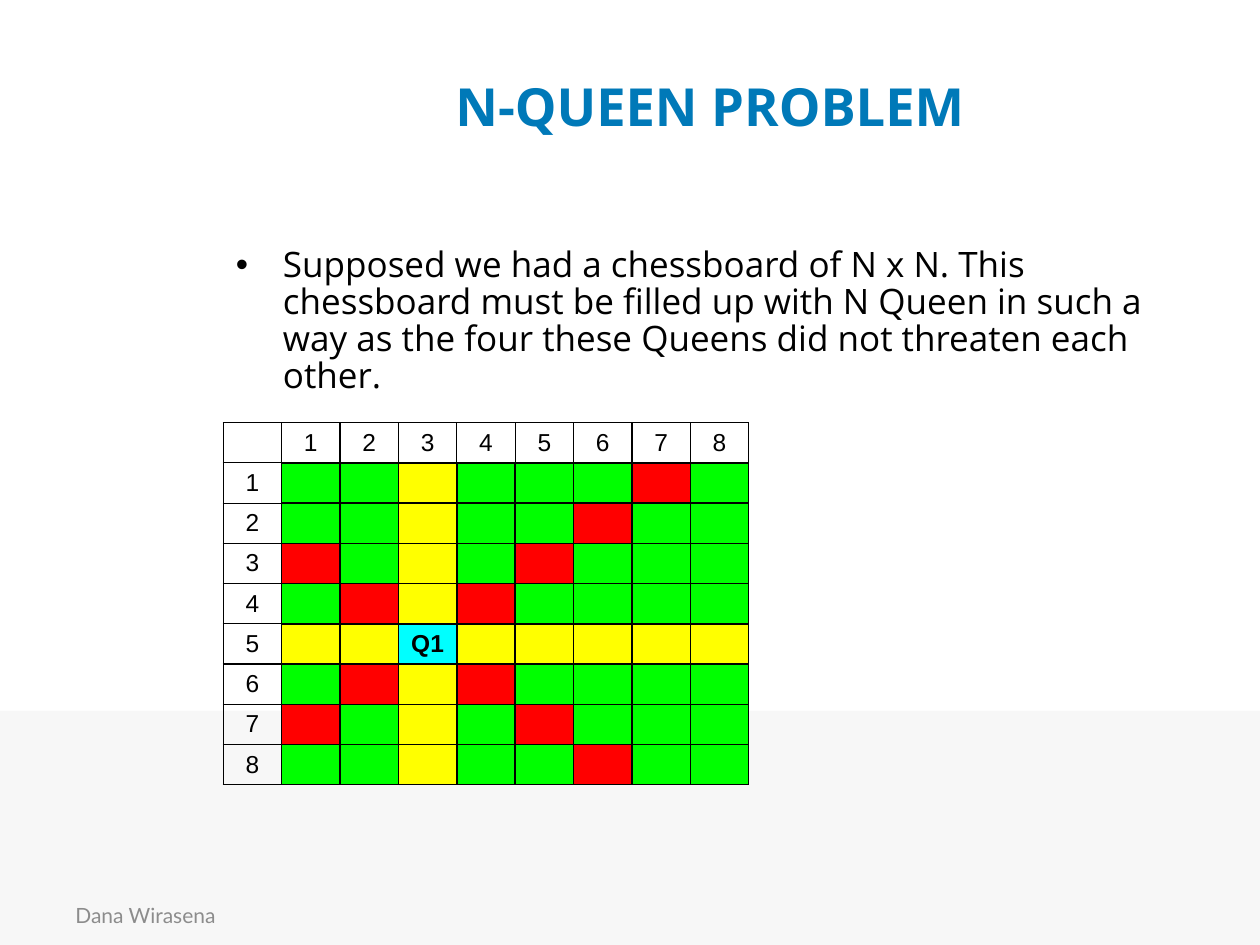
from lxml.etree import SubElement
from pptx import Presentation
from pptx.dml.color import RGBColor
from pptx.enum.shapes import MSO_SHAPE
from pptx.enum.text import MSO_ANCHOR, MSO_AUTO_SIZE, PP_ALIGN
from pptx.oxml.ns import qn
from pptx.util import Cm, Pt

BLACK = RGBColor(0x00, 0x00, 0x00)
BLUE = RGBColor(0x00, 0x79, 0xB8)
GREY = RGBColor(0x8C, 0x8C, 0x8C)
PALE = RGBColor(0xF7, 0xF7, 0xF7)
SAFE = RGBColor(0x00, 0xFF, 0x00)
STRAIGHT = RGBColor(0xFF, 0xFF, 0x00)
DIAGONAL = RGBColor(0xFF, 0x00, 0x00)
QUEEN = RGBColor(0x00, 0xFF, 0xFF)

BOARD_SIZE = 8
QUEEN_ROW, QUEEN_COLUMN = 5, 3


def square_color(row, column):
    """Colour of a square by the way the queen attacks it."""
    down, across = abs(row - QUEEN_ROW), abs(column - QUEEN_COLUMN)
    if down == across:
        return DIAGONAL if down else QUEEN
    return SAFE if down and across else STRAIGHT


class SlideBuilder:
    heading_font = "Open Sans"
    footer_font = "Lato"
    board_font = "Arial"

    def __init__(self, page):
        self.page = page

    def style(self, paragraph, font, size, color, bold=False):
        for span in paragraph.runs:
            span.font.name = font
            span.font.size = Pt(size)
            span.font.color.rgb = color
            span.font.bold = bold

    def place(self, shape, left, top, width, height):
        shape.left, shape.top = Cm(left), Cm(top)
        shape.width, shape.height = Cm(width), Cm(height)

    def fill_text(self, shape, text, anchor):
        frame = shape.text_frame
        frame.text = text
        frame.word_wrap = True
        frame.auto_size = MSO_AUTO_SIZE.NONE
        frame.vertical_anchor = anchor
        return frame.paragraphs[0]

    def band(self, left, top, width, height, color):
        shape = self.page.shapes.add_shape(
            MSO_SHAPE.RECTANGLE, Cm(left), Cm(top), Cm(width), Cm(height))
        shape.shadow.inherit = False
        shape.fill.solid()
        shape.fill.fore_color.rgb = color
        shape.line.fill.background()
        # Send the band behind the placeholders
        self.page.shapes._spTree.insert(2, shape._element)

    def title(self, text, *position):
        shape = self.page.shapes.title
        self.place(shape, *position)
        para = self.fill_text(shape, text, MSO_ANCHOR.MIDDLE)
        para.alignment = PP_ALIGN.CENTER
        self.style(para, self.heading_font, 30, BLUE, bold=True)

    def body(self, text, *position):
        shape = self.page.placeholders[1]
        self.place(shape, *position)
        para = self.fill_text(shape, text, MSO_ANCHOR.TOP)
        para.line_spacing = 0.88
        para.space_before = Pt(4)
        self.style(para, self.heading_font, 20, BLACK)
        properties = para._p.get_or_add_pPr()
        properties.set("marL", str(Cm(0.95)))
        properties.set("indent", str(Cm(-0.95)))
        SubElement(properties, qn("a:buFont"), typeface="Arial")
        SubElement(properties, qn("a:buChar"), char="•")

    def footer(self, text, left, top, width, height):
        box = self.page.shapes.add_textbox(Cm(left), Cm(top), Cm(width), Cm(height))
        para = self.fill_text(box, text, MSO_ANCHOR.MIDDLE)
        self.style(para, self.footer_font, 12, GREY)

    def borders(self, cell, width):
        properties = cell._tc.get_or_add_tcPr()
        for index, side in enumerate(("a:lnL", "a:lnR", "a:lnT", "a:lnB")):
            line = properties.makeelement(qn(side), {"w": str(Pt(width))})
            fill = SubElement(line, qn("a:solidFill"))
            SubElement(fill, qn("a:srgbClr"), val=str(BLACK))
            properties.insert(index, line)

    def cell(self, cell, text, color=None, bold=False, border=1):
        cell.margin_top = cell.margin_bottom = 0
        cell.vertical_anchor = MSO_ANCHOR.MIDDLE
        if color is None:
            cell.fill.background()
        else:
            cell.fill.solid()
            cell.fill.fore_color.rgb = color
        cell.text_frame.text = text
        para = cell.text_frame.paragraphs[0]
        para.alignment = PP_ALIGN.CENTER
        self.style(para, self.board_font, 14, BLACK, bold)
        self.borders(cell, border)

    def chessboard(self, left, top, width, height):
        count = BOARD_SIZE + 1
        table = self.page.shapes.add_table(
            count, count, Cm(left), Cm(top), Cm(width), Cm(height)).table
        table.first_row = table.horz_banding = False
        for index in range(count):
            table.columns[index].width = Cm(width / count)
            table.rows[index].height = Cm(height / count)
        for row in range(count):
            for column in range(count):
                square = table.cell(row, column)
                if row and column:
                    color = square_color(row, column)
                    text = "Q1" if color == QUEEN else ""
                    self.cell(square, text, color, bold=True)
                else:
                    # Row and column numbers; the corner stays empty
                    self.cell(square, str(row or column or ""), border=0.75)


deck = Presentation()
deck.slide_width, deck.slide_height = Cm(25.4), Cm(19.05)
builder = SlideBuilder(deck.slides.add_slide(deck.slide_layouts[1]))

# Background and footer
builder.band(0, 14.33, 25.4, 4.72, PALE)
builder.footer("Dana Wirasena", 1.27, 17.93, 5.92, 1.02)

# Title and statement
builder.title("N-QUEEN PROBLEM", 4.5, 0.53, 19.63, 3.18)
builder.body(
    "Supposed we had a chessboard of N x N. This chessboard must be filled up "
    "with N Queen in such a way as the four these Queens did not threaten each other.",
    4.5, 4.88, 19.63, 12.14)

# Board with the first queen and the squares it attacks
builder.chessboard(4.5, 8.52, 10.6, 7.3)

deck.save("out.pptx")
